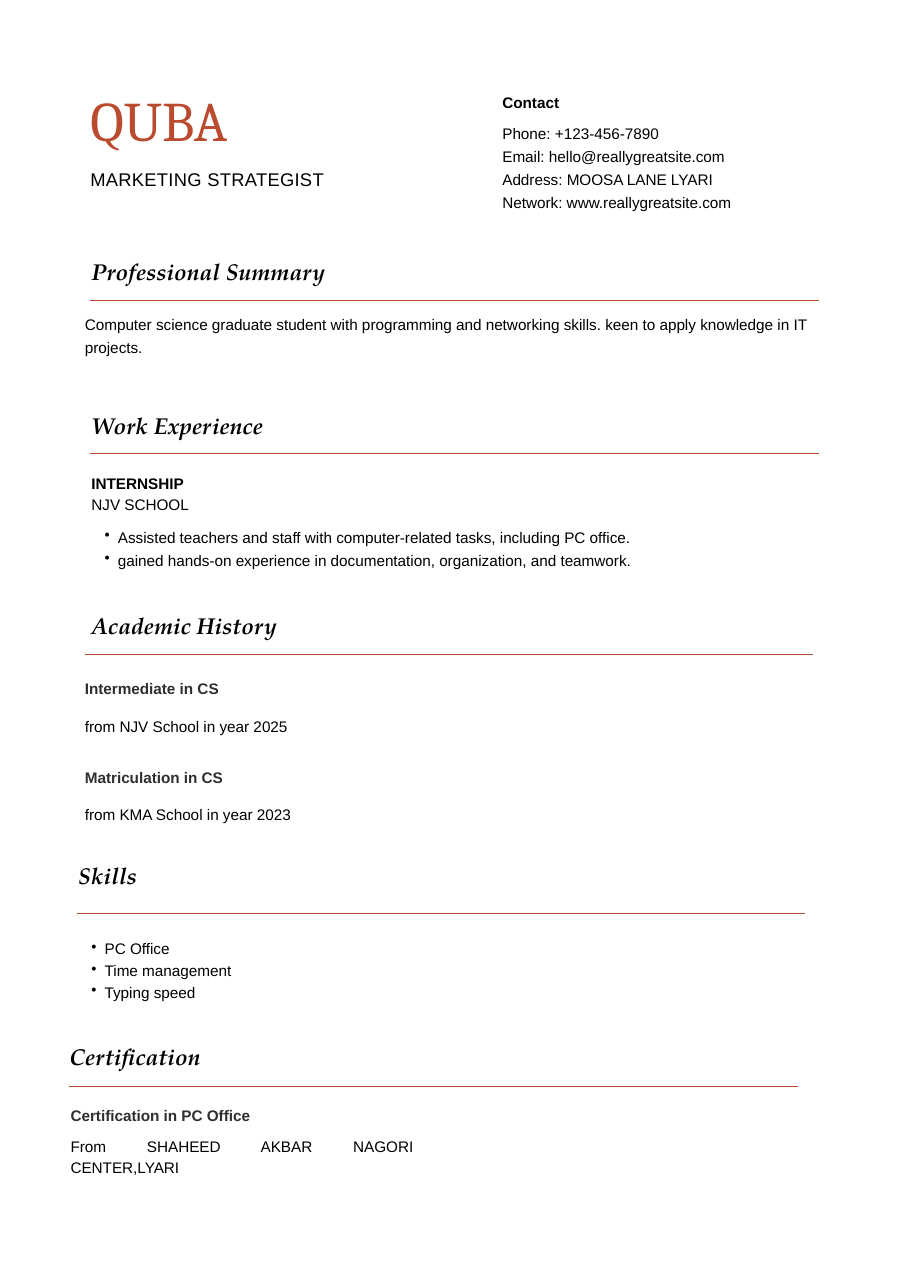
from lxml import etree
from pptx import Presentation
from pptx import util as u
from pptx.dml.color import RGBColor
from pptx.enum import shapes, text
from pptx.oxml.ns import qn

RUST = RGBColor(0xBA, 0x4B, 0x2F)
INK = RGBColor(0x00, 0x00, 0x01)
CHARCOAL = RGBColor(0x2F, 0x2F, 0x30)

BODY_FONT = "Arial"
NAME_FONT = "Cambria"
HEADING_FONT = "TeX Gyre Pagella"
LOOSE = 15
TIGHT = 14.1
RULE_WIDTH = 6.61

SECTIONS = [
    ("Professional Summary", 0.83, 2.3, 0.82, 2.73),
    ("Work Experience", 0.83, 3.69, 0.82, 4.12),
    ("Academic History", 0.83, 5.51, 0.77, 5.94),
    ("Skills", 0.71, 7.78, 0.7, 8.29),
    ("Certification", 0.63, 9.42, 0.63, 9.86),
]
QUALIFICATIONS = [
    ("Intermediate in CS", "from NJV School in year 2025", 6.14),
    ("Matriculation in CS", "from KMA School in year 2023", 6.94),
]


def clear_margins(frame):
    frame.word_wrap = True
    frame.vertical_anchor = text.MSO_ANCHOR.TOP
    frame.margin_left = frame.margin_right = u.Inches(0)
    frame.margin_top = frame.margin_bottom = u.Inches(0)


def style(para, size, spacing, color=INK, name=BODY_FONT, bold=False, italic=False):
    para.line_spacing = u.Pt(spacing)
    font = para.font
    font.name = name
    font.size = u.Pt(size)
    font.bold = bold
    font.italic = italic
    font.color.rgb = color


def add_bullet(para):
    properties = para._p.get_or_add_pPr()
    properties.set("marL", str(u.Inches(0.24)))
    properties.set("indent", str(u.Inches(-0.12)))
    etree.SubElement(properties, qn("a:buChar")).set("char", "•")


def add_text(page, lines, left, top, width, height, size=10, spacing=LOOSE,
             bullets=False, align=text.PP_ALIGN.LEFT, **look):
    box = page.shapes.add_textbox(*map(u.Inches, (left, top, width, height)))
    frame = box.text_frame
    clear_margins(frame)
    frame.auto_size = text.MSO_AUTO_SIZE.SHAPE_TO_FIT_TEXT
    frame.text = "\n".join(lines)
    for para in frame.paragraphs:
        para.alignment = align
        if bullets:
            add_bullet(para)
        style(para, size, spacing, **look)
    return box


def add_name(page):
    title = page.shapes.title
    title.left, title.top = u.Inches(0.82), u.Inches(0.68)
    title.width, title.height = u.Inches(3.31), u.Inches(0.76)
    frame = title.text_frame
    frame.text = "QUBA"
    clear_margins(frame)
    frame.auto_size = text.MSO_AUTO_SIZE.NONE
    para = frame.paragraphs[0]
    para.alignment = text.PP_ALIGN.LEFT
    style(para, 36.5, 51.1, RUST, NAME_FONT)


def add_rule(page, left, top):
    rule = page.shapes.add_connector(
        shapes.MSO_CONNECTOR.STRAIGHT,
        *map(u.Inches, (left, top, left + RULE_WIDTH, top)))
    rule.line.color.rgb = RUST
    rule.line.width = u.Pt(0.75)
    etree.SubElement(rule._element.spPr, qn("a:effectLst"))


def add_section(page, heading, left, top, rule_left, rule_top):
    add_text(page, [heading], left, top, 3.31, 0.3, 15, 21,
             name=HEADING_FONT, bold=True, italic=True)
    add_rule(page, rule_left, rule_top)


def add_header(page):
    add_name(page)
    role = add_text(page, ["MARKETING STRATEGIST"], 0.82, 1.49, 2.74, 0.22, 12, 16.8)
    span = role.text_frame.paragraphs[0].runs[0]
    span._r.get_or_add_rPr().set("spc", "20")
    add_text(page, ["Contact"], 4.56, 0.8, 2.88, 0.21, bold=True)
    add_text(page, [
        "Phone: +123-456-7890",
        "Email: hello@reallygreatsite.com",
        "Address: MOOSA LANE LYARI",
        "Network: www.reallygreatsite.com",
    ], 4.56, 1.09, 2.88, 0.83)


def add_credential(page, subject, source, left, top, gap, align):
    add_text(page, [subject], left, top, 3.11, 0.19, spacing=TIGHT,
             color=CHARCOAL, bold=True)
    add_text(page, [source], left, top + gap, 3.11, 0.19, spacing=TIGHT, align=align)


def main():
    deck = Presentation()
    deck.slide_width, deck.slide_height = u.Inches(8.26), u.Inches(11.69)
    page = deck.slides.add_slide(deck.slide_layouts[5])

    add_header(page)
    for section in SECTIONS:
        add_section(page, *section)

    add_text(page, ["Computer science graduate student with programming and networking "
                    "skills. keen to apply knowledge in IT projects."],
             0.77, 2.82, 6.61, 0.42)

    add_text(page, ["INTERNSHIP"], 0.83, 4.26, 4.08, 0.21, bold=True)
    add_text(page, ["NJV SCHOOL"], 0.83, 4.45, 4.08, 0.21)
    add_text(page, [
        "Assisted teachers and staff with computer-related tasks, including PC office.",
        "gained hands-on experience in documentation, organization, and teamwork.",
    ], 0.83, 4.75, 6.61, 0.42, bullets=True)

    for subject, school, top in QUALIFICATIONS:
        add_credential(page, subject, school, 0.77, top, 0.34, text.PP_ALIGN.LEFT)

    add_text(page, ["PC Office", "Time management", "Typing speed"],
             0.71, 8.5, 3.11, 0.57, spacing=TIGHT, bullets=True,
             align=text.PP_ALIGN.JUSTIFY)

    add_credential(page, "Certification in PC Office",
                   "From SHAHEED AKBAR NAGORI CENTER,LYARI",
                   0.64, 10.01, 0.28, text.PP_ALIGN.JUSTIFY)

    deck.save("out.pptx")


if __name__ == "__main__":
    main()
